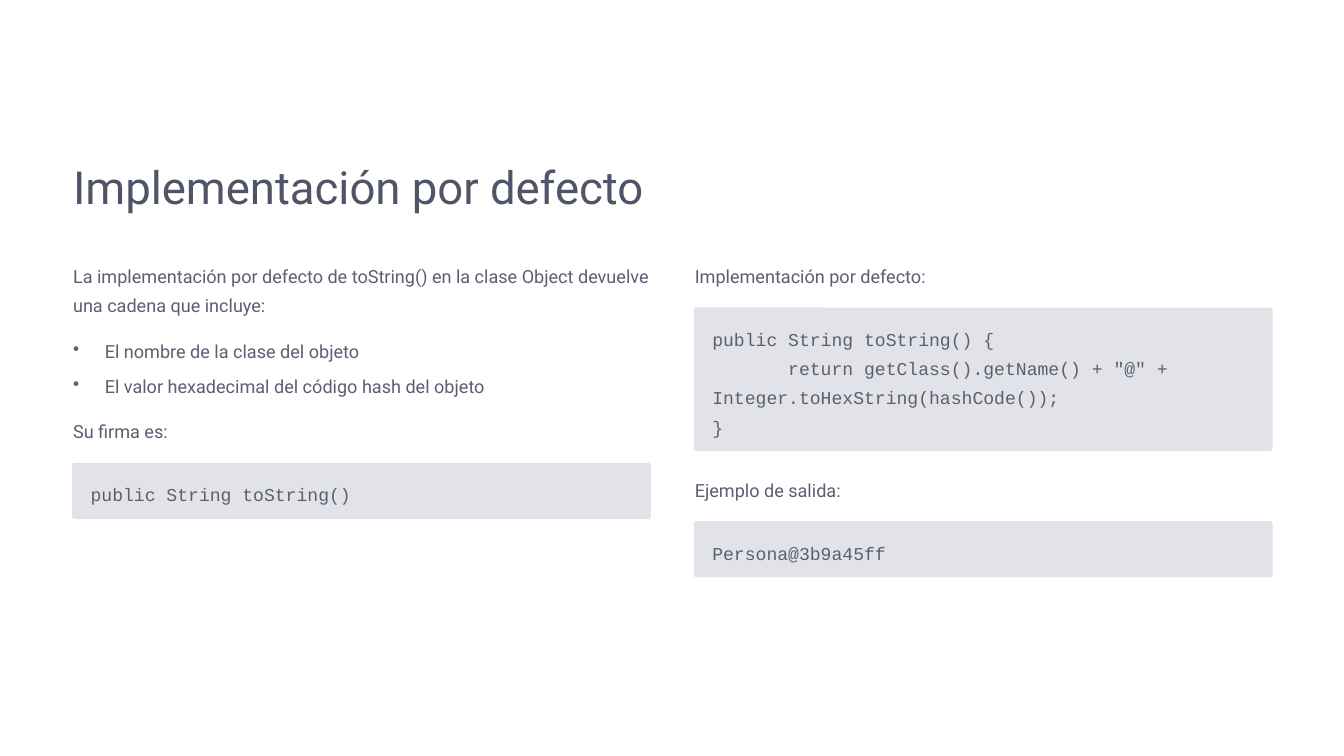
from lxml import etree
from pptx import Presentation
from pptx.dml.color import RGBColor
from pptx.enum.shapes import MSO_SHAPE
from pptx.enum.text import MSO_ANCHOR, MSO_AUTO_SIZE, PP_ALIGN
from pptx.oxml.ns import qn
from pptx.util import Cm, Pt

TITLE = "Implementación por defecto"
# Each column: left edge in cm, then its blocks as (kind, paragraphs, displayed lines)
COLUMNS = [
    (2.21, [
        ("text", ["La implementación por defecto de toString() en la clase Object "
                  "devuelve una cadena que incluye:"], 2),
        ("bullets", ["El nombre de la clase del objeto",
                     "El valor hexadecimal del código hash del objeto"], 2),
        ("text", ["Su firma es:"], 1),
        ("code", ["public String toString()"], 1),
    ]),
    (21.01, [
        ("text", ["Implementación por defecto:"], 1),
        ("code", ["public String toString() {",
                  '       return getClass().getName() + "@" + '
                  "Integer.toHexString(hashCode());",
                  "}"], 4),
        ("text", ["Ejemplo de salida:"], 1),
        ("code", ["Persona@3b9a45ff"], 1),
    ]),
]

TITLE_COLOR = RGBColor(0x50, 0x54, 0x68)
TEXT_COLOR = RGBColor(0x5B, 0x5F, 0x71)
PANEL_COLOR = RGBColor(0xE2, 0xE3, 0xE9)
WHITE = RGBColor(0xFF, 0xFF, 0xFF)
BODY_FONT, CODE_FONT = "Roboto", "Courier New"
ROUNDED = MSO_SHAPE.ROUNDED_RECTANGLE

# Lengths in cm
COLUMN_TOP, COLUMN_WIDTH = 7.8, 17.5
LINE_HEIGHT = 0.88
TEXT_GAP, PANEL_GAP = 0.5, 0.62
PANEL_PAD_X, PANEL_PAD_Y, PANEL_OUTSET = 0.53, 0.41, 0.03
CORNER_RADIUS = 0.08
BULLET_INDENT = 0.96
BULLET_SPACING = Pt(5)


def clear_frame(frame):
    """Remove the margins and anchor the text at the top."""
    frame.margin_left = frame.margin_right = 0
    frame.margin_top = frame.margin_bottom = 0
    frame.vertical_anchor = MSO_ANCHOR.TOP
    frame.auto_size = MSO_AUTO_SIZE.NONE
    frame.word_wrap = True


def format_paragraph(para, font_name, size, color, line_spacing):
    para.alignment = PP_ALIGN.LEFT
    para.line_spacing = line_spacing
    for span in para.runs:
        span.font.name = font_name
        span.font.size = size
        span.font.color.rgb = color


def add_bullet(para):
    properties = para._p.get_or_add_pPr()
    properties.set("marL", str(Cm(BULLET_INDENT)))
    properties.set("indent", str(-Cm(BULLET_INDENT)))
    etree.SubElement(properties, qn("a:buChar")).set("char", "•")


def add_text(page, left, top, width, height, lines, font_name, bulleted=False):
    box = page.shapes.add_textbox(Cm(left), Cm(top), Cm(width), Cm(height))
    frame = box.text_frame
    clear_frame(frame)
    frame.text = "\n".join(lines)
    for index, para in enumerate(frame.paragraphs):
        if bulleted:
            add_bullet(para)
            if index:
                para.space_before = BULLET_SPACING
        format_paragraph(para, font_name, Pt(15.5), TEXT_COLOR, Pt(25))


def add_panel(page, left, top, height):
    panel = page.shapes.add_shape(ROUNDED, Cm(left), Cm(top), Cm(COLUMN_WIDTH), Cm(height))
    panel.adjustments[0] = CORNER_RADIUS / height
    panel.shadow.inherit = False
    panel.fill.solid()
    panel.fill.fore_color.rgb = PANEL_COLOR
    panel.line.fill.background()


def add_column(page, left, blocks):
    """Stack the blocks downwards from the top of the column."""
    top = COLUMN_TOP
    previous = None
    for kind, lines, line_count in blocks:
        if previous:
            top += PANEL_GAP if "code" in (kind, previous) else TEXT_GAP
        height = line_count * LINE_HEIGHT
        if kind == "code":
            panel_height = height + 2 * PANEL_PAD_Y
            add_panel(page, left - PANEL_OUTSET, top, panel_height)
            add_text(page, left + PANEL_PAD_X, top + PANEL_PAD_Y,
                     COLUMN_WIDTH - 2 * PANEL_PAD_X, height, lines, CODE_FONT)
            height = panel_height
        else:
            bulleted = kind == "bullets"
            if bulleted:
                height += BULLET_SPACING.cm * (len(lines) - 1)
            add_text(page, left, top, COLUMN_WIDTH, height, lines, BODY_FONT, bulleted)
        top += height
        previous = kind


def main():
    deck = Presentation()
    deck.slide_width, deck.slide_height = Cm(40.64), Cm(22.86)
    page = deck.slides.add_slide(deck.slide_layouts[5])
    page.background.fill.solid()
    page.background.fill.fore_color.rgb = WHITE

    title = page.shapes.title
    title.left, title.top, title.width, title.height = Cm(2.21), Cm(4.75), Cm(18.42), Cm(1.73)
    clear_frame(title.text_frame)
    title.text_frame.text = TITLE
    format_paragraph(title.text_frame.paragraphs[0], BODY_FONT, Pt(39), TITLE_COLOR, Pt(48.5))

    for left, blocks in COLUMNS:
        add_column(page, left, blocks)
    deck.save("out.pptx")


if __name__ == "__main__":
    main()
